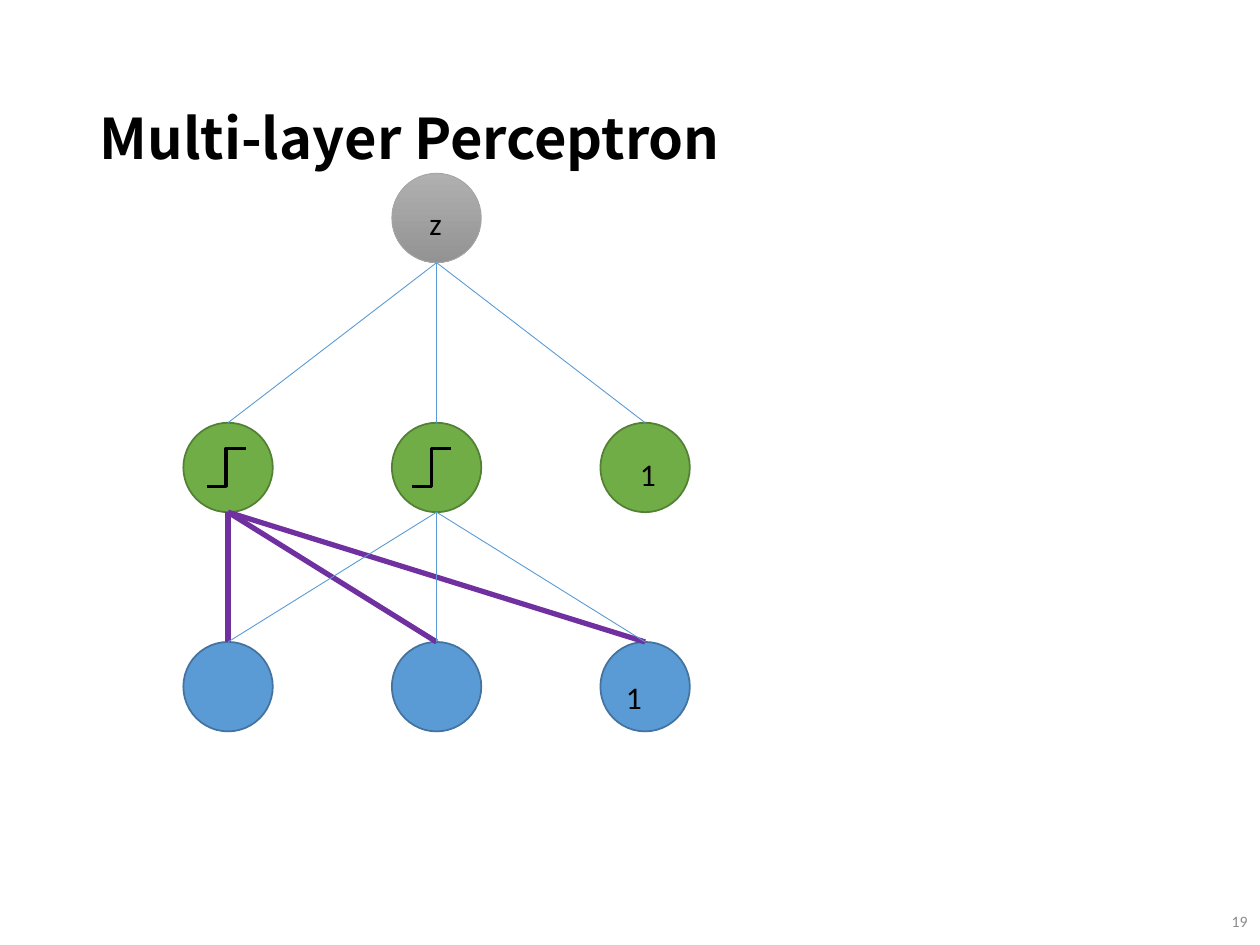
from lxml import etree
from pptx import Presentation
from pptx.dml.color import RGBColor
from pptx.enum.shapes import MSO_CONNECTOR, MSO_SHAPE
from pptx.enum.text import MSO_ANCHOR, MSO_AUTO_SIZE, PP_ALIGN
from pptx.oxml.ns import qn
from pptx.util import Inches, Pt

ELLIPSE = MSO_SHAPE.OVAL
STRAIGHT = MSO_CONNECTOR.STRAIGHT
MIDDLE, TOP = MSO_ANCHOR.MIDDLE, MSO_ANCHOR.TOP
LEFT, RIGHT = PP_ALIGN.LEFT, PP_ALIGN.RIGHT
NO_AUTOFIT = MSO_AUTO_SIZE.NONE

TITLE_FONT, BODY_FONT = "Noto Sans CJK KR", "Calibri"
BLACK, GRAY, BLUE, PURPLE = "000000", "8C8C8C", "5B9BD5", "7030A0"

# Centres of the network grid, in inches
COLUMNS = [1.81 + 1.655 * i for i in range(3)]
OUTPUT_ROW, HIDDEN_ROW, INPUT_ROW = 1.73, 3.71, 5.45
DIAMETER = 0.71
RADIUS = DIAMETER / 2


def color(hex_string):
    return RGBColor.from_string(hex_string)


def style_line(line, hex_string, width):
    line.color.rgb = color(hex_string)
    line.width = Pt(width)


def style_text(frame, text, size, font_name, hex_string, align=LEFT, anchor=TOP):
    frame.text = text
    frame.word_wrap = True
    frame.auto_size = NO_AUTOFIT
    frame.vertical_anchor = anchor
    paragraph = frame.paragraphs[0]
    paragraph.alignment = align
    font = paragraph.runs[0].font
    font.size = Pt(size)
    font.name = font_name
    font.color.rgb = color(hex_string)
    return paragraph


def add_title(slide, text):
    title = slide.shapes.title
    title.left, title.top = Inches(0.69), Inches(0.4)
    title.width, title.height = Inches(8.62), Inches(1.45)
    paragraph = style_text(title.text_frame, text, 32, TITLE_FONT, BLACK, anchor=MIDDLE)
    paragraph.line_spacing = 0.9
    paragraph.runs[0].font.bold = True


def add_label(slide, text, left, top, width, size=18, hex_string=BLACK, **layout):
    box = slide.shapes.add_textbox(Inches(left), Inches(top), Inches(width), Inches(0.4))
    style_text(box.text_frame, text, size, BODY_FONT, hex_string, **layout)


def add_neuron(slide, x, y, fill, outline, outline_width=1):
    """Draw a unit centred on (x, y); a pair of fill colours makes a vertical gradient."""
    neuron = slide.shapes.add_shape(
        ELLIPSE, Inches(x - RADIUS), Inches(y - RADIUS), Inches(DIAMETER), Inches(DIAMETER))
    neuron.shadow.inherit = False
    if isinstance(fill, tuple):
        neuron.fill.gradient()
        neuron.fill.gradient_angle = 270
        for stop, shade, position in zip(neuron.fill.gradient_stops, fill, (0, 1)):
            stop.color.rgb = color(shade)
            stop.position = position
    else:
        neuron.fill.solid()
        neuron.fill.fore_color.rgb = color(fill)
    style_line(neuron.line, outline, outline_width)


def add_weights(slide, lower_row, upper_row, upper_x, hex_string=BLUE, width=0.5):
    """Join every unit of the lower row to one unit of the upper row."""
    for lower_x in COLUMNS:
        weight = slide.shapes.add_connector(
            STRAIGHT, Inches(lower_x), Inches(lower_row - RADIUS),
            Inches(upper_x), Inches(upper_row + RADIUS))
        style_line(weight.line, hex_string, width)
        etree.SubElement(weight._element.spPr, qn("a:effectLst"))


def add_step_function(slide, left, top=3.56, width=0.31, height=0.3):
    right, middle, bottom = left + width, left + width / 2, top + height
    corners = [(Inches(x), Inches(y)) for x, y in
               [(right, top), (middle, top), (middle, bottom), (left, bottom)]]
    builder = slide.shapes.build_freeform(*corners[0])
    builder.add_line_segments(corners[1:], close=False)
    step = builder.convert_to_shape()
    step.shadow.inherit = False
    step.fill.background()
    style_line(step.line, BLACK, 2)


def main():
    presentation = Presentation()
    presentation.slide_width, presentation.slide_height = Inches(10), Inches(7.5)
    slide = presentation.slides.add_slide(presentation.slide_layouts[5])

    add_title(slide, "Multi-layer Perceptron")
    add_label(slide, "19", 9.46, 7.11, 0.54, 9, GRAY, align=RIGHT, anchor=MIDDLE)

    first, second, _ = COLUMNS
    for row, fill, outline in [(INPUT_ROW, BLUE, "43739E"), (HIDDEN_ROW, "70AD47", "538035")]:
        for x in COLUMNS:
            add_neuron(slide, x, row, fill, outline)
    add_neuron(slide, second, OUTPUT_ROW, ("B0B0B0", "939393"), "A5A5A5", 0.5)

    add_weights(slide, INPUT_ROW, HIDDEN_ROW, first, PURPLE, 3)
    add_weights(slide, INPUT_ROW, HIDDEN_ROW, second)
    add_weights(slide, HIDDEN_ROW, OUTPUT_ROW, second)

    add_label(slide, "1", 4.87, 5.33, 0.43)
    add_label(slide, "1", 4.98, 3.56, 0.34)
    add_label(slide, "z", 3.31, 1.57, 0.3)
    for left in (1.64, 3.27):
        add_step_function(slide, left)

    presentation.save("out.pptx")


if __name__ == "__main__":
    main()
